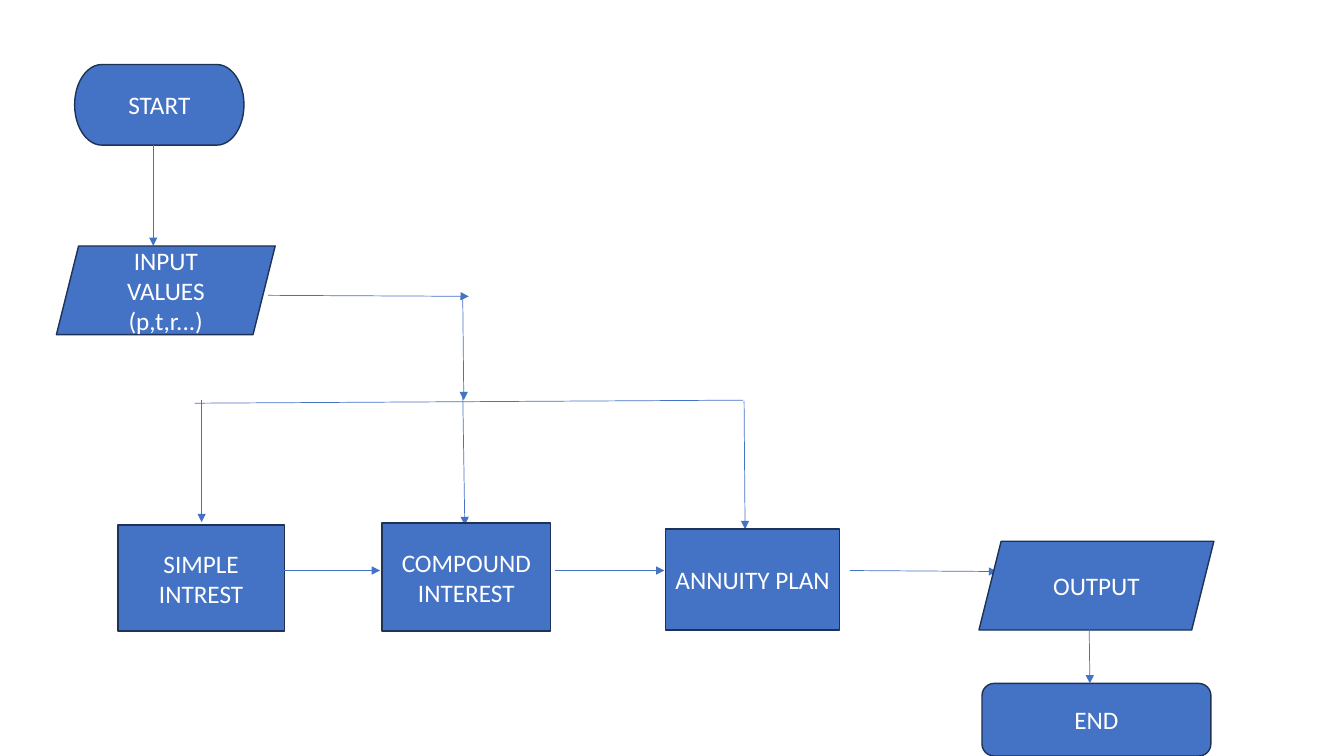
from typing import NamedTuple

from pptx import Presentation
from pptx.dml.color import RGBColor
from pptx.enum.shapes import MSO_CONNECTOR, MSO_SHAPE as Preset
from pptx.enum.text import MSO_ANCHOR, PP_ALIGN
from pptx.oxml.ns import qn
from pptx.slide import Slide
from pptx.util import Inches, Pt
from lxml.etree import SubElement

BLUE = RGBColor(0x44, 0x72, 0xC4)
NAVY = RGBColor(0x1E, 0x32, 0x56)
WHITE = RGBColor(0xFF, 0xFF, 0xFF)
FONT = "Calibri"


class Step(NamedTuple):
    preset: Preset
    left: float
    top: float
    width: float
    height: float
    lines: tuple[str, ...]


class Flow(NamedTuple):
    start: tuple[float, float]
    end: tuple[float, float]
    arrow: bool = True


# Back to front
FLOWCHART: list[Step | Flow] = [
    Step(Preset.FLOWCHART_TERMINATOR, 0.74, 0.64, 1.68, 0.8, ("START",)),
    Flow((1.52, 1.44), (1.52, 2.44)),
    Step(Preset.PARALLELOGRAM, 0.56, 2.44, 2.17, 0.88, ("INPUT VALUES", "(p,t,r...)")),
    Flow((2.66, 2.93), (4.65, 2.94)),
    Flow((4.59, 2.97), (4.6, 3.97)),
    Flow((1.93, 4), (7.37, 3.97), arrow=False),
    Flow((2, 3.97), (2, 5.18)),
    Flow((4.59, 3.91), (4.61, 5.21)),
    Flow((7.38, 3.98), (7.39, 5.25)),
    Step(Preset.RECTANGLE, 1.17, 5.21, 1.65, 1.05, ("SIMPLE INTREST",)),
    Step(Preset.RECTANGLE, 3.79, 5.19, 1.67, 1.07, ("COMPOUND INTEREST",)),
    Step(Preset.RECTANGLE, 6.6, 5.25, 1.73, 1, ("ANNUITY PLAN",)),
    Flow((2.82, 5.66), (3.77, 5.66)),
    Flow((5.5, 5.66), (6.59, 5.66)),
    Flow((8.43, 5.66), (9.89, 5.67)),
    Step(Preset.PARALLELOGRAM, 9.71, 5.37, 2.33, 0.88, ("OUTPUT",)),
    Step(Preset.ROUNDED_RECTANGLE, 9.74, 6.78, 2.27, 0.72, ("END",)),
    Flow((10.8, 6.01), (10.81, 6.78)),
]


def draw_step(page: Slide, step: Step) -> None:
    box = page.shapes.add_shape(
        step.preset, Inches(step.left), Inches(step.top), Inches(step.width), Inches(step.height)
    )
    box.shadow.inherit = False
    box.fill.solid()
    box.fill.fore_color.rgb = BLUE
    box.line.color.rgb = NAVY
    box.line.width = Pt(1)
    frame = box.text_frame
    frame.word_wrap = True
    frame.vertical_anchor = MSO_ANCHOR.MIDDLE
    for index, line in enumerate(step.lines):
        para = frame.add_paragraph() if index else frame.paragraphs[0]
        para.alignment = PP_ALIGN.CENTER
        span = para.add_run()
        span.text = line
        span.font.name = FONT
        span.font.size = Pt(18)
        span.font.color.rgb = WHITE


def draw_flow(page: Slide, flow: Flow) -> None:
    connector = page.shapes.add_connector(
        MSO_CONNECTOR.STRAIGHT, *map(Inches, flow.start + flow.end)
    )
    connector.line.color.rgb = BLUE
    connector.line.width = Pt(0.5)
    if flow.arrow:
        SubElement(connector.line._get_or_add_ln(), qn("a:tailEnd"), type="triangle")
    SubElement(connector._element.spPr, qn("a:effectLst"))


def main() -> None:
    deck = Presentation()
    deck.slide_width = Inches(13.33)
    deck.slide_height = Inches(7.5)
    page = deck.slides.add_slide(deck.slide_layouts[6])
    for element in FLOWCHART:
        if isinstance(element, Step):
            draw_step(page, element)
        else:
            draw_flow(page, element)
    deck.save("out.pptx")


if __name__ == "__main__":
    main()
